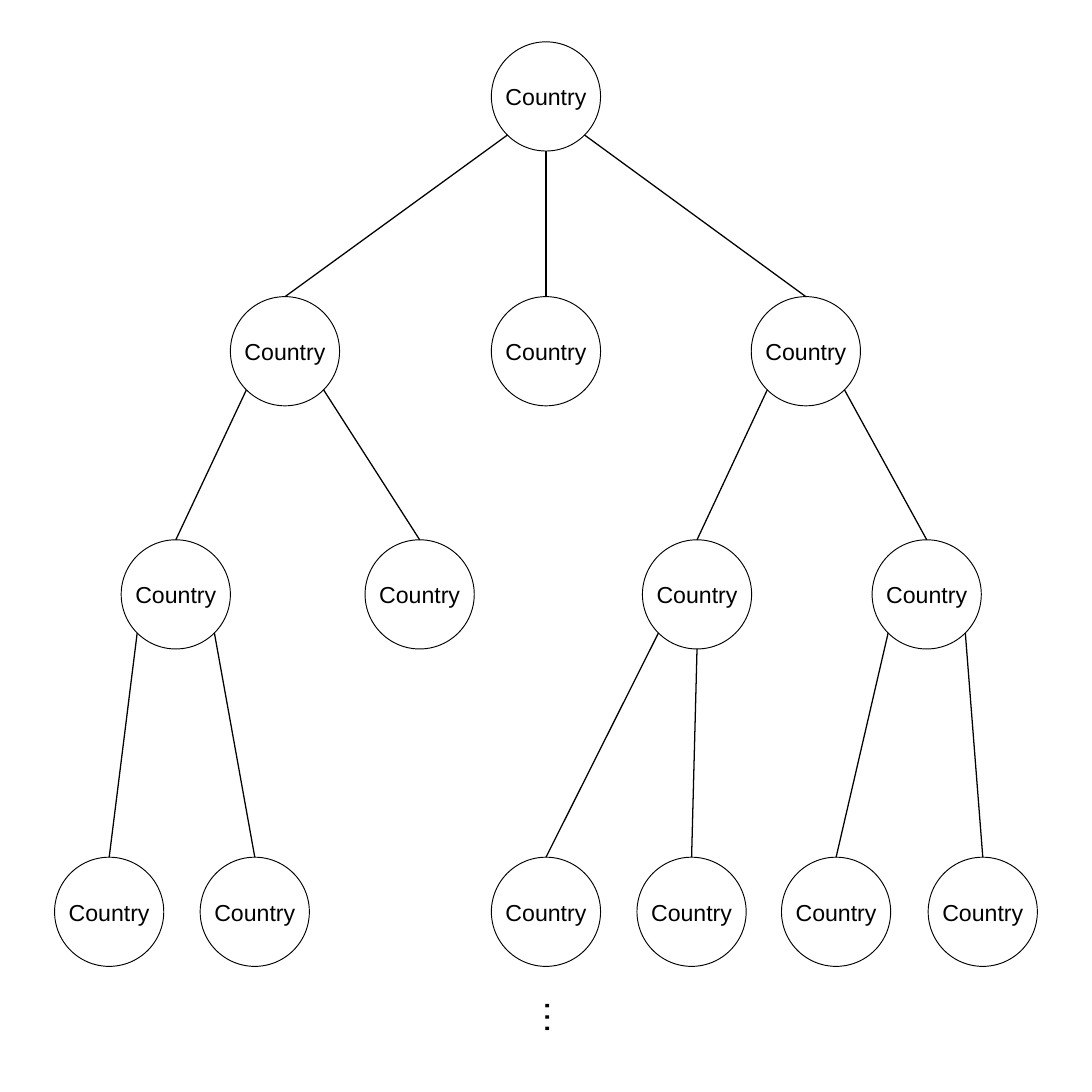
from math import sqrt

from lxml import etree
from pptx import Presentation
from pptx.dml.color import RGBColor
from pptx.enum.shapes import MSO_CONNECTOR, MSO_SHAPE
from pptx.enum.text import MSO_ANCHOR, PP_ALIGN
from pptx.oxml.ns import qn
from pptx.util import Cm, Pt

STRAIGHT = MSO_CONNECTOR.STRAIGHT
ELLIPSE = MSO_SHAPE.OVAL
MIDDLE = MSO_ANCHOR.MIDDLE
CENTER = PP_ALIGN.CENTER
TOP_SITE = 0

COLORS = {"paper": "FFFFFF", "ink": "000000"}
FONT = "Arial"
LABEL = "Country"
SLIDE_SIDE = 30
DIAMETER = 3
LEVEL_TOPS = [1.15, 8.15, 14.83, 23.55]
LEVEL_CENTERS = [
    [15],
    [7.83, 15, 22.14],
    [4.83, 11.53, 19.15, 25.46],
    [3, 7, 15, 19, 22.97, 27],
]
BRANCHES = [
    (0, 0, [("left", 0), ("bottom", 1), ("right", 2)]),
    (1, 0, [("left", 0), ("right", 1)]),
    (1, 2, [("left", 2), ("right", 3)]),
    (2, 0, [("left", 0), ("right", 1)]),
    (2, 2, [("left", 2), ("bottom", 3)]),
    (2, 3, [("left", 4), ("right", 5)]),
]
CONTINUATION = ("…", 14.53, 27.2, 1.7, 1.45)

RADIUS = DIAMETER / 2
DIAGONAL = RADIUS / sqrt(2)
DEPARTURES = {
    "left": (-DIAGONAL, DIAGONAL),
    "bottom": (0, RADIUS),
    "right": (DIAGONAL, DIAGONAL),
}


def color(name):
    return RGBColor.from_string(COLORS[name])


def write_text(shape, text, size=18, margin=None, wrap=False):
    frame = shape.text_frame
    frame.word_wrap = wrap
    frame.vertical_anchor = MIDDLE
    if margin is not None:
        frame.margin_left = frame.margin_right = Cm(margin)
        frame.margin_top = frame.margin_bottom = Cm(margin)
    paragraph = frame.paragraphs[0]
    paragraph.alignment = CENTER
    run = paragraph.add_run()
    run.text = text
    run.font.size = Pt(size)
    run.font.name = FONT
    run.font.color.rgb = color("ink")


def add_node(slide, center, top):
    shape = slide.shapes.add_shape(
        ELLIPSE, Cm(center - RADIUS), Cm(top), Cm(DIAMETER), Cm(DIAMETER)
    )
    shape.shadow.inherit = False
    shape.fill.solid()
    shape.fill.fore_color.rgb = color("paper")
    shape.line.color.rgb = color("ink")
    shape.line.width = Pt(0.75)
    write_text(shape, LABEL, margin=0)
    return shape


def add_branch(slide, level, parent, side, child, child_shape):
    offset_x, offset_y = DEPARTURES[side]
    connector = slide.shapes.add_connector(
        STRAIGHT,
        Cm(LEVEL_CENTERS[level][parent] + offset_x),
        Cm(LEVEL_TOPS[level] + RADIUS + offset_y),
        Cm(LEVEL_CENTERS[level + 1][child]),
        Cm(LEVEL_TOPS[level + 1]),
    )
    connector.end_connect(child_shape, TOP_SITE)
    connector.line.color.rgb = color("ink")
    connector.line.width = Pt(1)
    properties = connector._element.find(qn("p:spPr"))
    etree.SubElement(properties, qn("a:effectLst"))


def main():
    presentation = Presentation()
    presentation.slide_width = presentation.slide_height = Cm(SLIDE_SIDE)
    slide = presentation.slides.add_slide(presentation.slide_layouts[6])

    nodes = [
        [add_node(slide, center, top) for center in centers]
        for top, centers in zip(LEVEL_TOPS, LEVEL_CENTERS)
    ]
    for level, parent, children in BRANCHES:
        for side, child in children:
            add_branch(slide, level, parent, side, child, nodes[level + 1][child])

    text, *box = CONTINUATION
    continuation = slide.shapes.add_textbox(*map(Cm, box))
    write_text(continuation, text, size=28, wrap=True)
    continuation.text_frame._txBody.find(qn("a:bodyPr")).set("vert", "vert")

    presentation.save("out.pptx")


if __name__ == "__main__":
    main()
